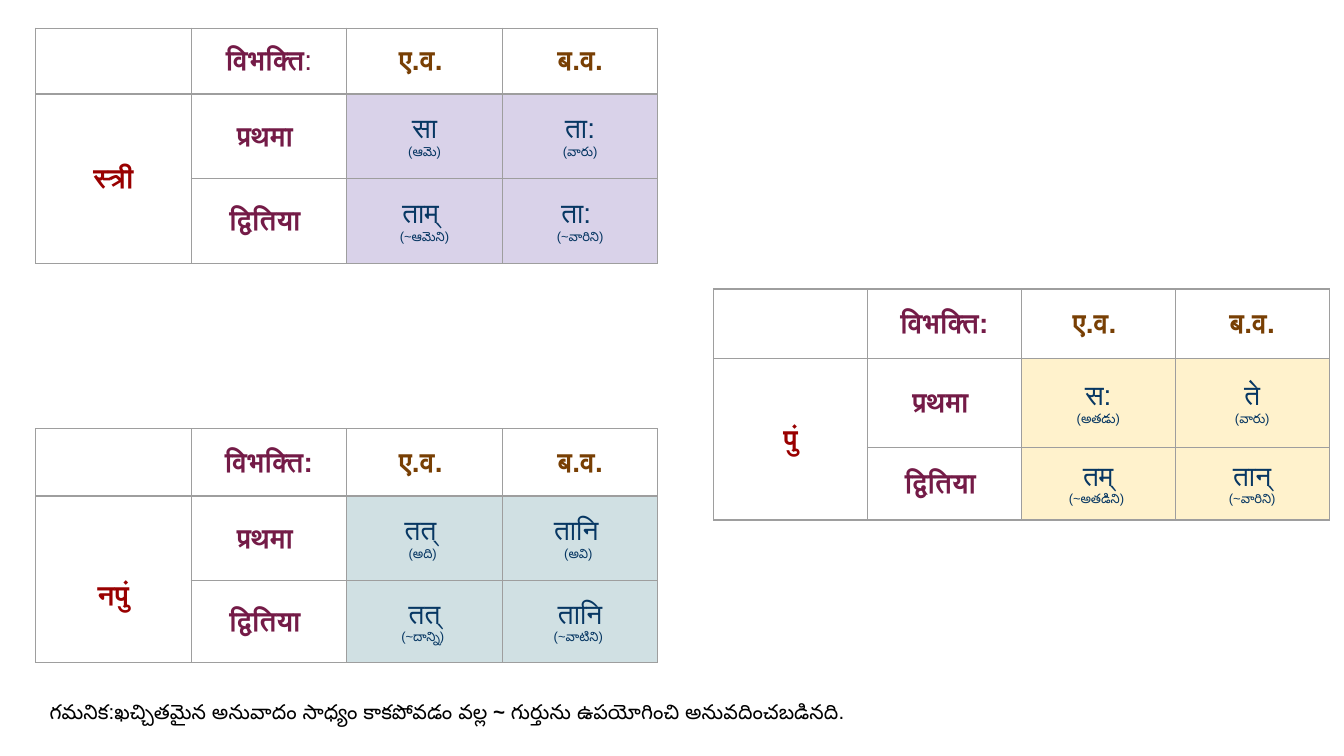
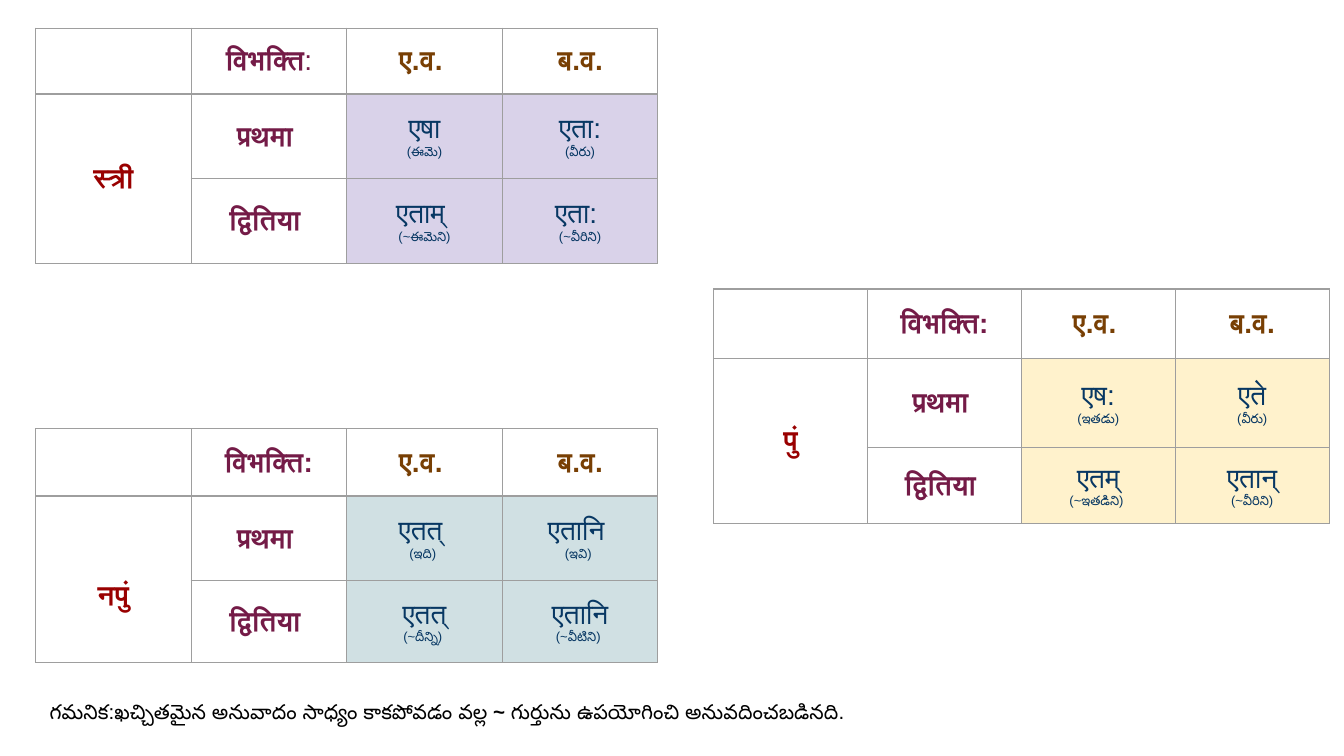
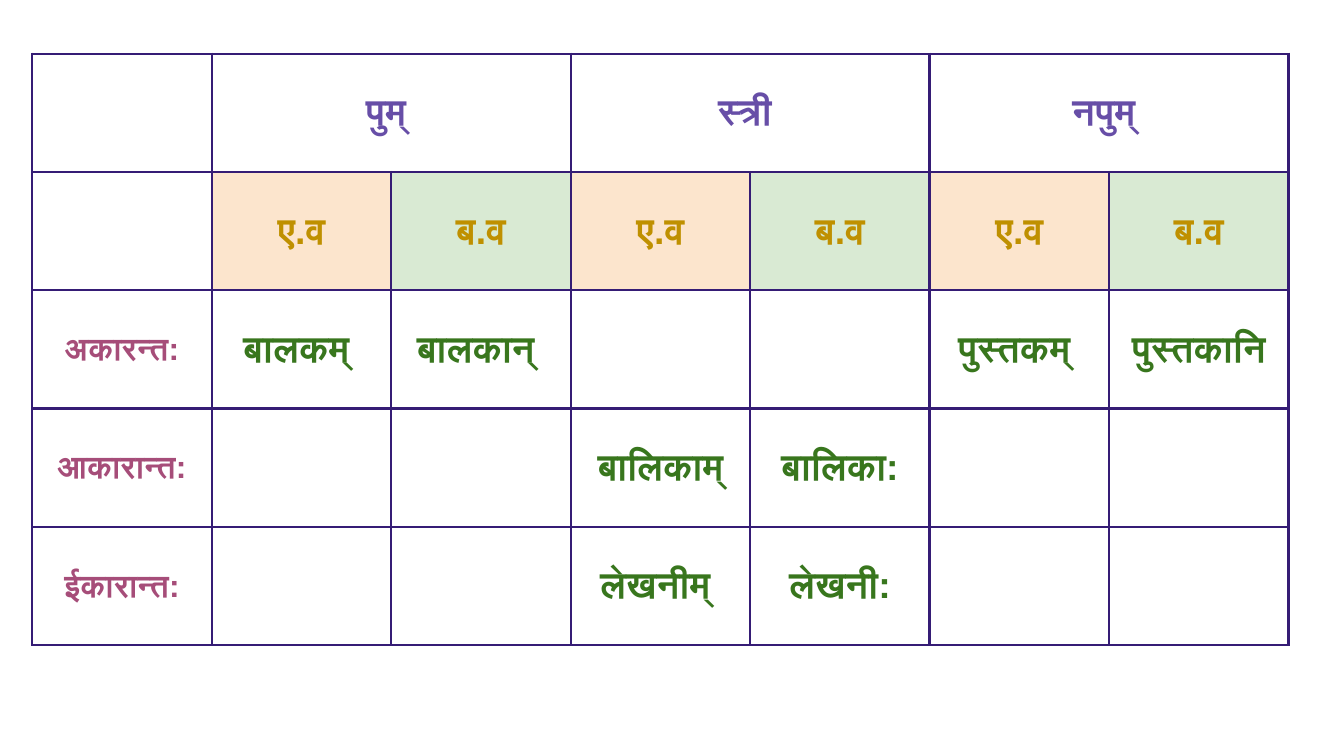
from dataclasses import dataclass

from lxml import etree
from pptx import Presentation
from pptx.dml.color import RGBColor
from pptx.enum.text import MSO_ANCHOR, MSO_AUTO_SIZE, PP_ALIGN
from pptx.oxml.ns import qn
from pptx.util import Inches, Pt

CENTER, LEFT = PP_ALIGN.CENTER, PP_ALIGN.LEFT
MIDDLE = MSO_ANCHOR.MIDDLE
GROW = MSO_AUTO_SIZE.SHAPE_TO_FIT_TEXT

# The slide is a grid of 100 columns by 56.25 rows
SLIDE_W, SLIDE_H = Inches(10), Inches(5.625)
COL, ROW = SLIDE_W / 100, SLIDE_H / 56.25
PADDING = Inches(0.1)


@dataclass(frozen=True)
class Theme:
    font: str = "Arial"
    # Pronoun tables
    grid: str = "9E9E9E"
    case: str = "741B47"
    number: str = "783F04"
    gender: str = "990000"
    word: str = "073763"
    feminine: str = "D9D2E9"
    masculine: str = "FFF2CC"
    neuter: str = "D0E0E3"
    note: str = "000000"
    # Noun table
    noun_grid: str = "351C75"
    noun_gender: str = "674EA7"
    noun_number: str = "BF9000"
    noun_ending: str = "A64D79"
    noun: str = "38761D"
    singular: str = "FCE5CD"
    plural: str = "D9EAD3"
    # Type sizes and line widths in points
    word_size: int = 15
    gloss_size: int = 7
    note_size: int = 11
    noun_size: int = 20
    ending_size: int = 17
    grid_width: float = 0.75
    noun_grid_width: float = 1.5


THEME = Theme()


@dataclass(frozen=True)
class Box:
    left: float
    top: float
    width: float
    heights: tuple


@dataclass(frozen=True)
class Gender:
    label: str
    box: Box
    fill: str
    plain_colon: bool = False
    drop: float = 0  # rows by which the label is pushed down


GENDERS = (
    Gender("पुं", Box(53.1, 21.5, 45.8, (5.2, 6.6, 4.1)), THEME.masculine),
    Gender("स्त्री", Box(2.65, 2.1, 46.3, (4.9, 6.3, 6.3)), THEME.feminine,
           plain_colon=True),
    Gender("नपुं", Box(2.65, 31.9, 46.3, (5, 6.3, 6.1)), THEME.neuter, drop=2.4),
)
CASES = ("प्रथमा ", "द्वितिया ")
NUMBERS = ("ए.व. ", "ब.व.")

# Per gender, per case: singular and plural, each with its gloss
THAT = (
    ((("स:", "(అతడు)"), ("ते", "(వారు)")),
     (("तम्", "(~అతడిని) "), ("तान्", "(~వారిని)"))),
    ((("सा", "(ఆమె)"), ("ता:", "(వారు)")),
     (("ताम् ", "(~ఆమెని)"), ("ता: ", "(~వారిని)"))),
    ((("तत् ", "(అది) "), ("तानि ", "(అవి) ")),
     (("तत्", "(~దాన్ని) "), ("तानि", "(~వాటిని) "))),
)
THIS = (
    ((("एष:", "(ఇతడు)"), ("एते", "(వీరు)")),
     (("एतम्", "(~ఇతడిని) "), ("एतान्", "(~వీరిని)"))),
    ((("एषा", "(ఈమె)"), ("एता:", "(వీరు)")),
     (("एताम् ", "(~ఈమెని)"), ("एता: ", "(~వీరిని)"))),
    ((("एतत् ", "(ఇది) "), ("एतानि ", "(ఇవి) ")),
     (("एतत्", "(~దీన్ని) "), ("एतानि", "(~వీటిని) "))),
)
NOTE = ("గమనిక:ఖచ్చితమైన అనువాదం సాధ్యం కాకపోవడం వల్ల ", "~",
        " గుర్తును ఉపయోగించి అనువదించబడినది.")

NOUN_BOX = Box(2.4, 4, 93.5, (8.8,) * 5)
NOUN_GENDERS = ("पुम् ", "स्त्री ", "नपुम् ")
NOUN_NUMBERS = (("ए.व", THEME.singular), ("ब.व", THEME.plural))
# Ending, first column of its nouns, nouns in order
NOUNS = (
    ("अकारन्त:", {1: "बालकम् ", 2: "बालकान् ", 5: "पुस्तकम् ", 6: "पुस्तकानि"}),
    ("आकारान्त:", {3: "बालिकाम्", 4: "बालिका:"}),
    ("ईकारान्त:", {3: "लेखनीम् ", 4: "लेखनी:"}),
)


# Text
def add_run(paragraph, text, size, color, bold):
    run = paragraph.add_run()
    run.text = text
    font = run.font
    font.name, font.size, font.bold = THEME.font, Pt(size), bold
    font.color.rgb = RGBColor.from_string(color)
    for script in ("a:ea", "a:cs"):
        etree.SubElement(run._r.get_or_add_rPr(), qn(script), typeface=THEME.font)


def pad(target):
    target.margin_left = target.margin_right = PADDING
    target.margin_top = target.margin_bottom = PADDING


def write(cell, lines, color, bold=True):
    """Fill a cell with centred lines, each a (text, size) pair."""
    pad(cell)
    cell.vertical_anchor = MIDDLE
    frame = cell.text_frame
    for index, (text, size) in enumerate(lines):
        paragraph = frame.add_paragraph() if index else frame.paragraphs[0]
        paragraph.alignment = CENTER
        add_run(paragraph, text, size, color, bold)


# Tables
def paint(cell, color):
    cell.fill.solid()
    cell.fill.fore_color.rgb = RGBColor.from_string(color)


def set_borders(cell, color, width):
    properties = cell._tc.get_or_add_tcPr()
    for side in ("a:lnL", "a:lnR", "a:lnT", "a:lnB"):
        line = etree.SubElement(properties, qn(side), w=str(Pt(width)))
        fill = etree.SubElement(line, qn("a:solidFill"))
        etree.SubElement(fill, qn("a:srgbClr"), val=color)


def add_grid(slide, box, columns, color, width):
    """Place an unfilled table with equal columns in the box."""
    table = slide.shapes.add_table(
        len(box.heights), columns, round(box.left * COL), round(box.top * ROW),
        round(box.width * COL), round(sum(box.heights) * ROW)).table
    table.first_row = table.horz_banding = False
    for row, height in zip(table.rows, box.heights):
        row.height = round(height * ROW)
    for cell in table.iter_cells():
        set_borders(cell, color, width)
        cell.fill.background()
    return table


def add_pronoun_table(slide, gender, pronouns):
    size = THEME.word_size
    table = add_grid(slide, gender.box, 4, THEME.grid, THEME.grid_width)

    # Header row
    heading = table.cell(0, 1)
    write(heading, [("विभक्ति", size)], THEME.case)
    add_run(heading.text_frame.paragraphs[0], ":", size, THEME.case,
            not gender.plain_colon)
    for column, number in enumerate(NUMBERS, 2):
        write(table.cell(0, column), [(number, size)], THEME.number)

    # Gender label
    label = table.cell(1, 0)
    label.merge(table.cell(2, 0))
    write(label, [(gender.label, size)], THEME.gender)
    label.margin_top = PADDING + round(gender.drop * ROW)

    # Case rows
    for row, (case, forms) in enumerate(zip(CASES, pronouns), 1):
        write(table.cell(row, 1), [(case, size)], THEME.case)
        for column, (word, gloss) in enumerate(forms, 2):
            cell = table.cell(row, column)
            write(cell, [(word, size), (gloss, THEME.gloss_size)],
                  THEME.word, bold=False)
            paint(cell, gender.fill)


def add_note(slide):
    frame = slide.shapes.add_textbox(
        round(2.7 * COL), round(51.1 * ROW),
        round(72.1 * COL), round(3.9 * ROW)).text_frame
    frame.word_wrap = True
    frame.auto_size = GROW
    pad(frame)
    paragraph = frame.paragraphs[0]
    paragraph.alignment = LEFT
    for text in NOTE:
        add_run(paragraph, text, THEME.note_size, THEME.note, text == "~")


# Slides
def add_pronoun_slide(deck, pronouns):
    slide = deck.slides.add_slide(deck.slide_layouts[6])
    for gender, forms in zip(GENDERS, pronouns):
        add_pronoun_table(slide, gender, forms)
    add_note(slide)


def add_noun_slide(deck):
    slide = deck.slides.add_slide(deck.slide_layouts[6])
    size = THEME.noun_size
    table = add_grid(slide, NOUN_BOX, 7, THEME.noun_grid, THEME.noun_grid_width)

    # Genders, each over its two numbers
    for index, gender in enumerate(NOUN_GENDERS):
        first = 1 + 2 * index
        table.cell(0, first).merge(table.cell(0, first + 1))
        write(table.cell(0, first), [(gender, size)], THEME.noun_gender)
        for column, (number, fill) in enumerate(NOUN_NUMBERS, first):
            write(table.cell(1, column), [(number, size)], THEME.noun_number)
            paint(table.cell(1, column), fill)

    # Nouns by ending
    for row, (ending, nouns) in enumerate(NOUNS, 2):
        write(table.cell(row, 0), [(ending, THEME.ending_size)], THEME.noun_ending)
        for column, noun in nouns.items():
            write(table.cell(row, column), [(noun, size)], THEME.noun)


def main():
    deck = Presentation()
    deck.slide_width, deck.slide_height = SLIDE_W, SLIDE_H
    for pronouns in (THAT, THIS):
        add_pronoun_slide(deck, pronouns)
    add_noun_slide(deck)
    deck.save("out.pptx")


if __name__ == "__main__":
    main()
